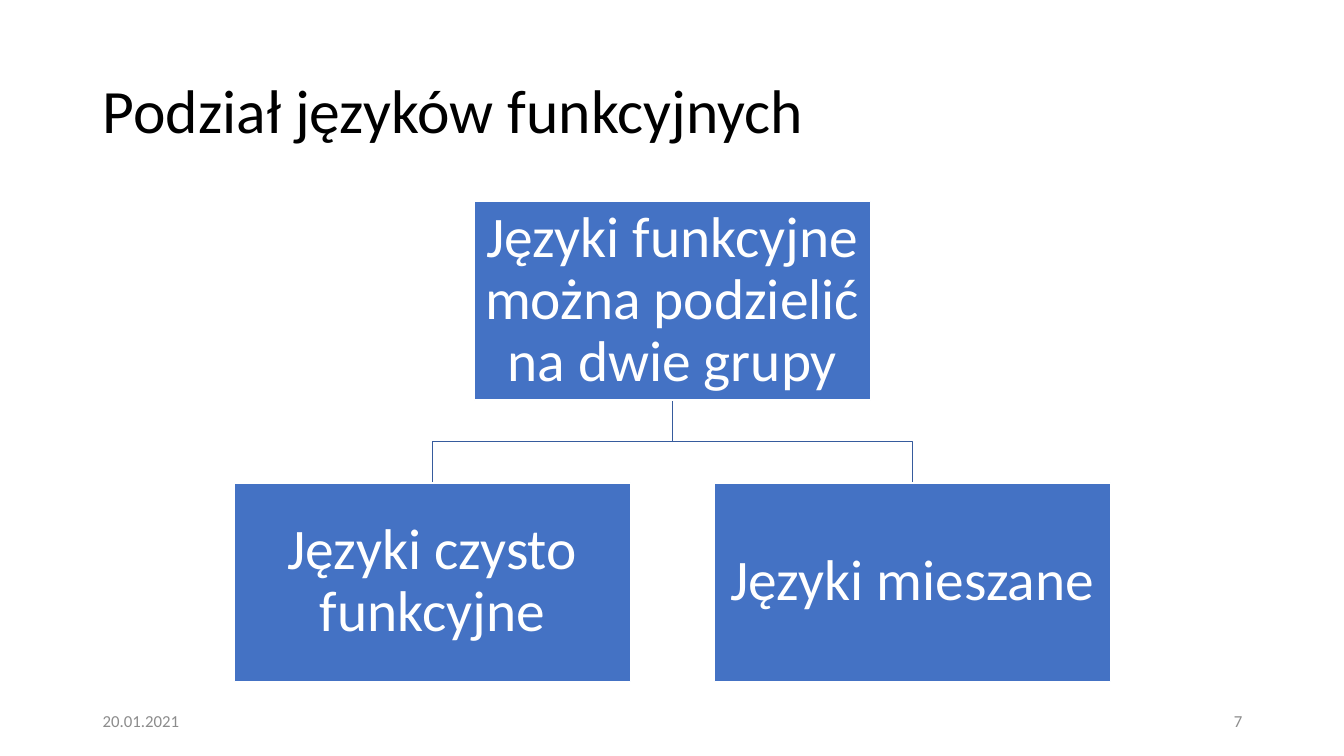
from pptx import Presentation
from pptx.dml.color import RGBColor
from pptx.enum.shapes import MSO_SHAPE
from pptx.enum.text import MSO_ANCHOR, PP_ALIGN
from pptx.util import Inches, Pt

INK = {"title": "000000", "box": "4472C4", "edge": "FFFFFF",
       "link": "365B9D", "foot": "8C8C8C"}
WIDE, HIGH = 3.93, 1.97
MID, STEP = 6.67, 2.38
TOP, LOW = 2, 4.79


def color(name):
    return RGBColor.from_string(INK[name])


def write(frame, text, size, ink, align=PP_ALIGN.LEFT, space=1.0):
    frame.word_wrap = True
    frame.vertical_anchor = MSO_ANCHOR.MIDDLE
    para = frame.paragraphs[0]
    para.text = text
    para.alignment = align
    para.line_spacing = space
    para.font.name = "Calibri"
    para.font.size = Pt(size)
    para.font.color.rgb = color(ink)


def add_label(slide, area, *style):
    label = slide.shapes.add_textbox(*map(Inches, area))
    write(label.text_frame, *style)


def add_box(slide, mid, top, text):
    area = (mid - WIDE / 2, top, WIDE, HIGH)
    box = slide.shapes.add_shape(MSO_SHAPE.RECTANGLE, *map(Inches, area))
    box.shadow.inherit = False
    box.fill.solid()
    box.fill.fore_color.rgb = color("box")
    box.line.color.rgb = color("edge")
    box.line.width = Pt(1)
    frame = box.text_frame
    frame.margin_left = frame.margin_right = Inches(0.03)
    frame.margin_top = frame.margin_bottom = Inches(0.03)
    write(frame, text, 41, "edge", PP_ALIGN.CENTER, 0.9)


def add_link(slide, mid):
    start = TOP + HIGH
    bend = (start + LOW) / 2
    pen = slide.shapes.build_freeform(Inches(MID), Inches(start))
    turns = [(MID, bend), (mid, bend), (mid, LOW)]
    pen.add_line_segments([(Inches(x), Inches(y)) for x, y in turns], close=False)
    link = pen.convert_to_shape()
    link.shadow.inherit = False
    link.fill.background()
    link.line.color.rgb = color("link")
    link.line.width = Pt(1)


def main():
    deck = Presentation()
    deck.slide_width, deck.slide_height = Inches(13.33), Inches(7.5)
    slide = deck.slides.add_slide(deck.slide_layouts[6])
    add_label(slide, (0.92, 0.4, 11.5, 1.45), "Podział języków funkcyjnych",
              44, "title", PP_ALIGN.LEFT, 0.9)
    groups = [(MID - STEP, "Języki czysto funkcyjne"),
              (MID + STEP, "Języki mieszane")]
    for mid, _ in reversed(groups):
        add_link(slide, mid)
    add_box(slide, MID, TOP, "Języki funkcyjne można podzielić na dwie grupy")
    for mid, text in groups:
        add_box(slide, mid, LOW, text)
    add_label(slide, (0.92, 6.95, 3, 0.4), "20.01.2021", 12, "foot")
    add_label(slide, (9.42, 6.95, 3, 0.4), "7", 12, "foot", PP_ALIGN.RIGHT)
    deck.save("out.pptx")


main()
